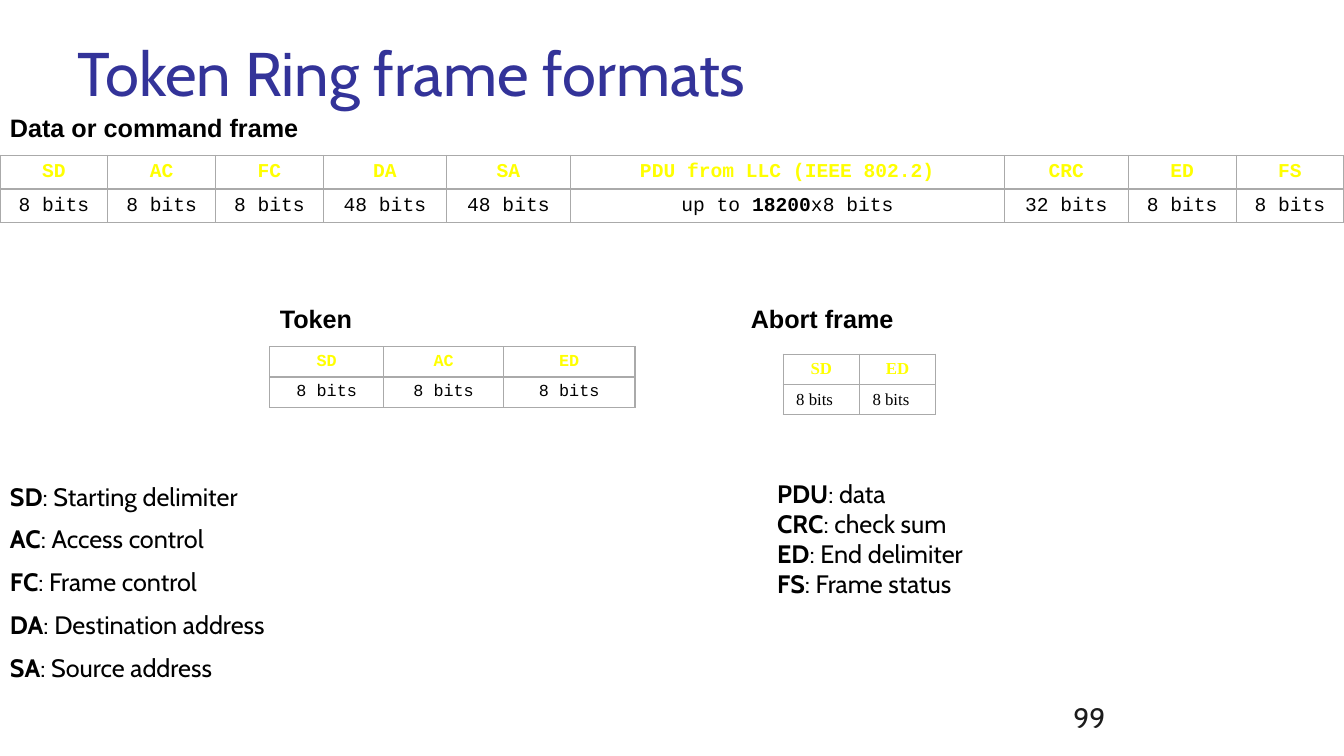
from lxml import etree
from pptx import Presentation
from pptx import util as u
from pptx.dml.color import RGBColor
from pptx.enum import text
from pptx.oxml import ns

BLACK, WHITE, YELLOW, NAVY = "000000", "FFFFFF", "FFFF00", "333399"
BORDER, PAGE_GREY = "AAAAAA", "1C1C1C"
LEFT, CENTER = text.PP_ALIGN.LEFT, text.PP_ALIGN.CENTER
TOP, MIDDLE, BOTTOM = text.MSO_ANCHOR.TOP, text.MSO_ANCHOR.MIDDLE, text.MSO_ANCHOR.BOTTOM


def rgb(code):
    return RGBColor.from_string(code)


class FrameSlide:
    """Draws titles, text and frame tables on one slide, with lengths in points."""

    def __init__(self, deck):
        self.slide = deck.slides.add_slide(deck.slide_layouts[5])

    def fill_paragraph(self, paragraph, words, font, size, color, align=LEFT, bold=False):
        paragraph.alignment = align
        paragraph.font.name = font
        paragraph.font.size = u.Pt(size)
        paragraph.font.color.rgb = rgb(color)
        pieces = words.split("**")
        if len(pieces) == 1:
            paragraph.font.bold = bold
        for index, piece in enumerate(pieces):
            if piece:
                run = paragraph.add_run()
                run.text = piece
                if len(pieces) > 1:
                    run.font.bold = index % 2 == 1

    def title(self, words, left, top, width, height):
        heading = self.slide.shapes.title
        heading.left, heading.top = u.Pt(left), u.Pt(top)
        heading.width, heading.height = u.Pt(width), u.Pt(height)
        frame = heading.text_frame
        frame.vertical_anchor = TOP
        frame.auto_size = text.MSO_AUTO_SIZE.NONE
        self.fill_paragraph(frame.paragraphs[0], words, "Cabin", 44, NAVY)

    def text(self, lines, left, top, width, height, font="Cabin", size=18,
             color=BLACK, bold=False, gap=0, anchor=TOP):
        box = self.slide.shapes.add_textbox(u.Pt(left), u.Pt(top), u.Pt(width), u.Pt(height))
        frame = box.text_frame
        frame.word_wrap = True
        frame.vertical_anchor = anchor
        for index, line in enumerate(lines):
            paragraph = frame.add_paragraph() if index else frame.paragraphs[0]
            if index and gap:
                paragraph.space_before = u.Pt(gap)
            self.fill_paragraph(paragraph, line, font, size, color, bold=bold)

    def border(self, cell):
        properties = cell._tc.get_or_add_tcPr()
        for position, side in enumerate(("a:lnL", "a:lnR", "a:lnT", "a:lnB")):
            line = etree.Element(ns.qn(side), w=str(u.Pt(1)))
            fill = etree.SubElement(line, ns.qn("a:solidFill"))
            etree.SubElement(fill, ns.qn("a:srgbClr"), val=BORDER)
            properties.insert(position, line)

    def table(self, fields, left, top, widths, row_height, font, size, bits_align=CENTER):
        graphic = self.slide.shapes.add_table(
            2, len(fields), u.Pt(left), u.Pt(top), u.Pt(sum(widths)), u.Pt(2 * row_height))
        grid = graphic.table
        styles = ((YELLOW, CENTER, True), (BLACK, bits_align, False))
        for row in grid.rows:
            row.height = u.Pt(row_height)
        for column, (width, field) in enumerate(zip(widths, fields)):
            grid.columns[column].width = u.Pt(width)
            for row, (words, style) in enumerate(zip(field, styles)):
                cell = grid.cell(row, column)
                cell.fill.solid()
                cell.fill.fore_color.rgb = rgb(WHITE)
                cell.vertical_anchor = MIDDLE
                cell.margin_left = cell.margin_right = u.Pt(9.36)
                cell.margin_top = cell.margin_bottom = u.Pt(3.6)
                self.border(cell)
                self.fill_paragraph(cell.text_frame.paragraphs[0], words, font, size, *style)


def main():
    deck = Presentation()
    deck.slide_width, deck.slide_height = u.Pt(960), u.Pt(540)
    page = FrameSlide(deck)
    page.text(["99"], 759.6, 491.8, 200, 36, size=20, color=PAGE_GREY, anchor=BOTTOM)
    page.title("Token Ring frame formats", 48, 21.6, 864, 90)

    data_fields = [
        ("SD", "8 bits"), ("AC", "8 bits"), ("FC", "8 bits"),
        ("DA", "48 bits"), ("SA", "48 bits"),
        ("PDU from LLC (IEEE 802.2)", "up to **18200**x8 bits"),
        ("CRC", "32 bits"), ("ED", "8 bits"), ("FS", "8 bits"),
    ]
    page.table(data_fields, 0, 111, [77, 77, 77, 88, 88.5, 310, 88.5, 77, 77],
               23.2, "Courier New", 14)
    token_fields = [(name, "8 bits") for name in ("SD", "AC", "ED")]
    page.table(token_fields, 192.6, 247.6, [81.5, 85.5, 94], 21.4, "Courier New", 12)
    abort_fields = [(name, "8 bits") for name in ("SD", "ED")]
    page.table(abort_fields, 559.4, 253, [54.5, 54.5], 21.2, "Times New Roman", 12, LEFT)

    for caption, left, top, width in (("Data or command frame", 0, 77, 550),
                                      ("Token", 192.8, 213, 140),
                                      ("Abort frame", 529.2, 213, 257)):
        page.text([caption], left, top, width, 29, font="Arial", bold=True)

    page.text(["**SD**: Starting delimiter", "**AC**: Access control", "**FC**: Frame control",
               "**DA**: Destination address", "**SA**: Source address"],
              0, 340, 536.4, 200, gap=9)
    page.text(["**PDU**: data", "**CRC**: check sum", "**ED**: End delimiter",
               "**FS**: Frame status"], 548, 337.8, 370.8, 127.4)
    deck.save("out.pptx")


if __name__ == "__main__":
    main()
